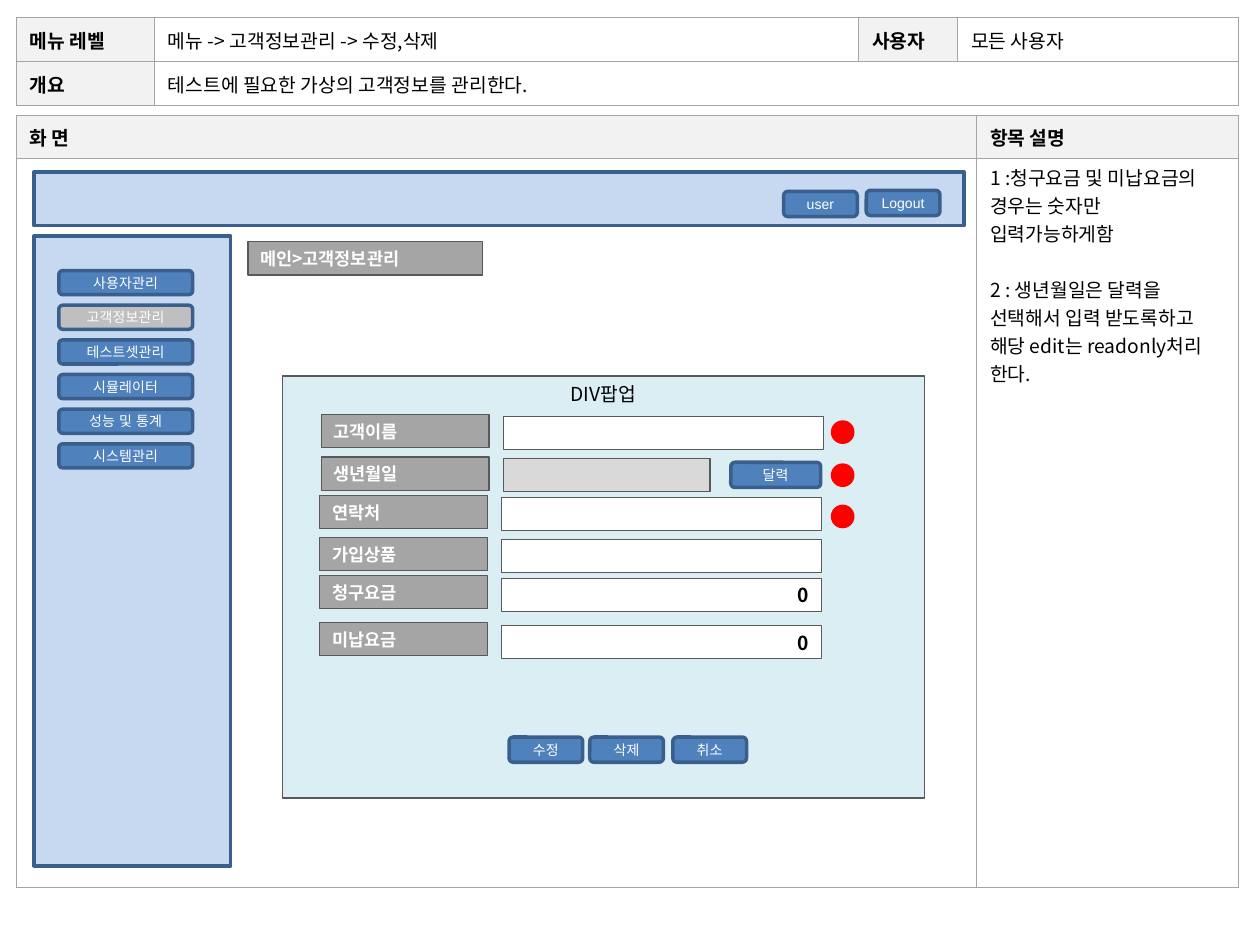
"""Build the wireframe slide of the customer data screen."""
import dataclasses
import typing

import pptx
import pptx.chart.data
import pptx.dml.color
import pptx.enum.shapes
import pptx.enum.text
import pptx.oxml.ns
import pptx.slide
import pptx.util
import lxml.etree

Pt = pptx.util.Pt
Align = pptx.enum.text.PP_ALIGN
Anchor = pptx.enum.text.MSO_ANCHOR
Kind = pptx.enum.shapes.MSO_SHAPE


@dataclasses.dataclass(frozen=True)
class Theme:
    black: str = "000000"
    white: str = "FFFFFF"
    head: str = "F2F2F2"
    grid: str = "A5A5A5"
    panel: str = "C6D9F1"
    button: str = "4F81BD"
    chosen: str = "BFBFBF"
    frame: str = "3A5F8C"
    label: str = "A5A5A5"
    edge: str = "595959"
    popup: str = "DBEEF4"
    locked: str = "D9D9D9"
    dot: str = "FF0000"
    thin: float = 0.75
    thick: float = 2
    body: float = 11
    title: float = 10
    small: float = 8
    sans: str = "Noto Sans CJK KR"
    latin: str = "Arial"


THEME = Theme()


class Style(typing.NamedTuple):
    fill: str
    line: str
    width: float
    kind: typing.Any = Kind.RECTANGLE
    size: float = THEME.body
    font: str = THEME.sans
    color: str = THEME.black
    bold: bool = False
    align: typing.Any = Align.LEFT
    anchor: typing.Any = Anchor.MIDDLE
    inset: tuple[float, float] = (7.2, 3.6)


class Box(typing.NamedTuple):
    left: float
    top: float
    width: float
    height: float
    style: Style
    text: str = ""


class Cell(typing.NamedTuple):
    text: str = ""
    head: bool = False
    anchor: typing.Any = Anchor.MIDDLE
    span: int = 1


class Field(typing.NamedTuple):
    name: str
    left: float
    top: float
    drop: float
    text: str = ""
    width: float = 182.9
    locked: bool = False


PANEL = Style(THEME.panel, THEME.frame, THEME.thick)
BUTTON = Style(THEME.button, THEME.frame, THEME.thick, Kind.ROUNDED_RECTANGLE, THEME.small,
               THEME.latin, THEME.white, align=Align.CENTER, inset=(0, 0))
LABEL = Style(THEME.label, THEME.edge, THEME.thin, size=THEME.title, color=THEME.white, bold=True)
POPUP = Style(THEME.popup, THEME.edge, THEME.thin, align=Align.CENTER, anchor=Anchor.TOP)
ENTRY = Style(THEME.white, THEME.edge, THEME.thin, bold=True, align=Align.RIGHT)
DOT = Style(THEME.dot, THEME.dot, THEME.thick, Kind.OVAL)

TOP = [
    [Cell("메뉴 레벨", True), Cell("메뉴 -> 고객정보관리 -> 수정,삭제"),
     Cell("사용자", True), Cell("모든 사용자")],
    [Cell("개요", True), Cell("테스트에 필요한 가상의 고객정보를 관리한다.", span=3)],
]
MAIN = [
    [Cell("화 면", True), Cell("항목 설명", True)],
    [Cell(), Cell("1 :청구요금 및 미납요금의 경우는 숫자만 입력가능하게함\n"
                  "2 : 생년월일은 달력을 선택해서 입력 받도록하고 해당 edit는 readonly처리 한다.",
                  anchor=Anchor.TOP)],
]
MENU = ["사용자관리", "고객정보관리", "테스트셋관리", "시뮬레이터", "성능 및 통계", "시스템관리"]
FIELDS = [
    Field("고객이름", 183.6, 236.9, 0.9),
    Field("생년월일", 183.6, 261.2, 0.9, width=118.1, locked=True),
    Field("연락처", 182.7, 283.2, 1),
    Field("가입상품", 182.7, 307.2, 1),
    Field("청구요금", 182.7, 329, 1.6, "0"),
    Field("미납요금", 182.7, 355.7, 1.9, "0"),
]


def shade(code: str) -> pptx.dml.color.RGBColor:
    return pptx.dml.color.RGBColor.from_string(code)


def write(frame: typing.Any, text: str, style: Style) -> None:
    frame.text = text
    for spot, para in enumerate(frame.paragraphs):
        para.alignment = style.align
        if spot:
            para.space_before = Pt(16)
        for run in para.runs:
            font = run.font
            font.size, font.bold, font.name = Pt(style.size), style.bold, style.font
            font.color.rgb = shade(style.color)
            east = lxml.etree.SubElement(run._r.get_or_add_rPr(), pptx.oxml.ns.qn("a:ea"))
            east.set("typeface", style.font)


def draw(slide: pptx.slide.Slide, box: Box) -> None:
    style = box.style
    shape = slide.shapes.add_shape(style.kind, Pt(box.left), Pt(box.top),
                                   Pt(box.width), Pt(box.height))
    shape.shadow.inherit = False
    shape.fill.solid()
    shape.fill.fore_color.rgb = shade(style.fill)
    shape.line.color.rgb = shade(style.line)
    shape.line.width = Pt(style.width)
    if box.text:
        frame = shape.text_frame
        frame.word_wrap = True
        frame.vertical_anchor = style.anchor
        frame.margin_left = frame.margin_right = Pt(style.inset[0])
        frame.margin_top = frame.margin_bottom = Pt(style.inset[1])
        write(frame, box.text, style)


def border(cell: typing.Any) -> None:
    props = cell._tc.get_or_add_tcPr()
    for spot, side in enumerate(("lnL", "lnR", "lnT", "lnB")):
        line = lxml.etree.Element(pptx.oxml.ns.qn(f"a:{side}"), w=str(Pt(THEME.thin)))
        fill = lxml.etree.SubElement(line, pptx.oxml.ns.qn("a:solidFill"))
        lxml.etree.SubElement(fill, pptx.oxml.ns.qn("a:srgbClr"), val=THEME.grid)
        props.insert(spot, line)


def table(slide: pptx.slide.Slide, top: float, cols: list[float], rows: list[float],
          cells: list[list[Cell]]) -> None:
    grid = slide.shapes.add_table(len(rows), len(cols), Pt(9.36), Pt(top),
                                  Pt(sum(cols)), Pt(sum(rows))).table
    for col, width in zip(grid.columns, cols):
        col.width = Pt(width)
    for row, height in zip(grid.rows, rows):
        row.height = Pt(height)
    for cell in grid.iter_cells():
        cell.fill.solid()
        cell.fill.fore_color.rgb = shade(THEME.white)
        border(cell)
    for down, line in enumerate(cells):
        for across, item in enumerate(line):
            cell = grid.cell(down, across)
            if item.span > 1:
                cell.merge(grid.cell(down, across + item.span - 1))
            cell.margin_left = cell.margin_right = Pt(7.6)
            cell.margin_top = cell.margin_bottom = Pt(2.9)
            cell.vertical_anchor = item.anchor
            if item.head:
                cell.fill.fore_color.rgb = shade(THEME.head)
            if item.text:
                write(cell.text_frame, item.text, Style("", "", 0, bold=item.head))


def main() -> None:
    deck = pptx.Presentation()
    deck.slide_width, deck.slide_height = Pt(720), Pt(540)
    slide = deck.slides.add_slide(deck.slide_layouts[6])
    table(slide, 10.1, [79, 402.4, 56.6, 160.6], [25.2, 25.2], TOP)
    table(slide, 65.8, [548.8, 149.8], [24.6, 416.8], MAIN)
    boxes = [
        Box(19.4, 98.2, 531.4, 30.8, PANEL),
        Box(19.4, 134.8, 112.4, 360, PANEL),
        Box(495, 108.8, 42.1, 14.4, BUTTON, "Logout"),
        Box(447.8, 109.4, 42.1, 14.4, BUTTON, "user"),
        Box(141.8, 138.2, 133.9, 19, LABEL, "메인>고객정보관리"),
        Box(161.3, 214.8, 367.2, 241.2, POPUP, "DIV팝업"),
        Box(417.6, 264.2, 51.4, 14.4, BUTTON, "달력"),
    ]
    for spot, name in enumerate(MENU):
        fill = THEME.chosen if name == "고객정보관리" else THEME.button
        boxes.append(Box(33.6, 154.6 + 19.8 * spot, 76.5, 13.8, BUTTON._replace(fill=fill), name))
    for item in FIELDS:
        fill = THEME.locked if item.locked else THEME.white
        boxes += [
            Box(item.left, item.top, 95.8, 18.9, LABEL, item.name),
            Box(item.left + 104, item.top + item.drop, item.width, 18.9,
                ENTRY._replace(fill=fill), item.text),
        ]
    for left, name in ((290.9, "수정"), (337, "삭제"), (384.5, "취소")):
        boxes.append(Box(left, 421.2, 42.1, 14.4, BUTTON, name))
    for top in (241.2, 265.8, 289.4):
        boxes.append(Box(475.8, top, 11.5, 11.5, DOT))
    for box in boxes:
        draw(slide, box)
    deck.save("out.pptx")


if __name__ == "__main__":
    main()
